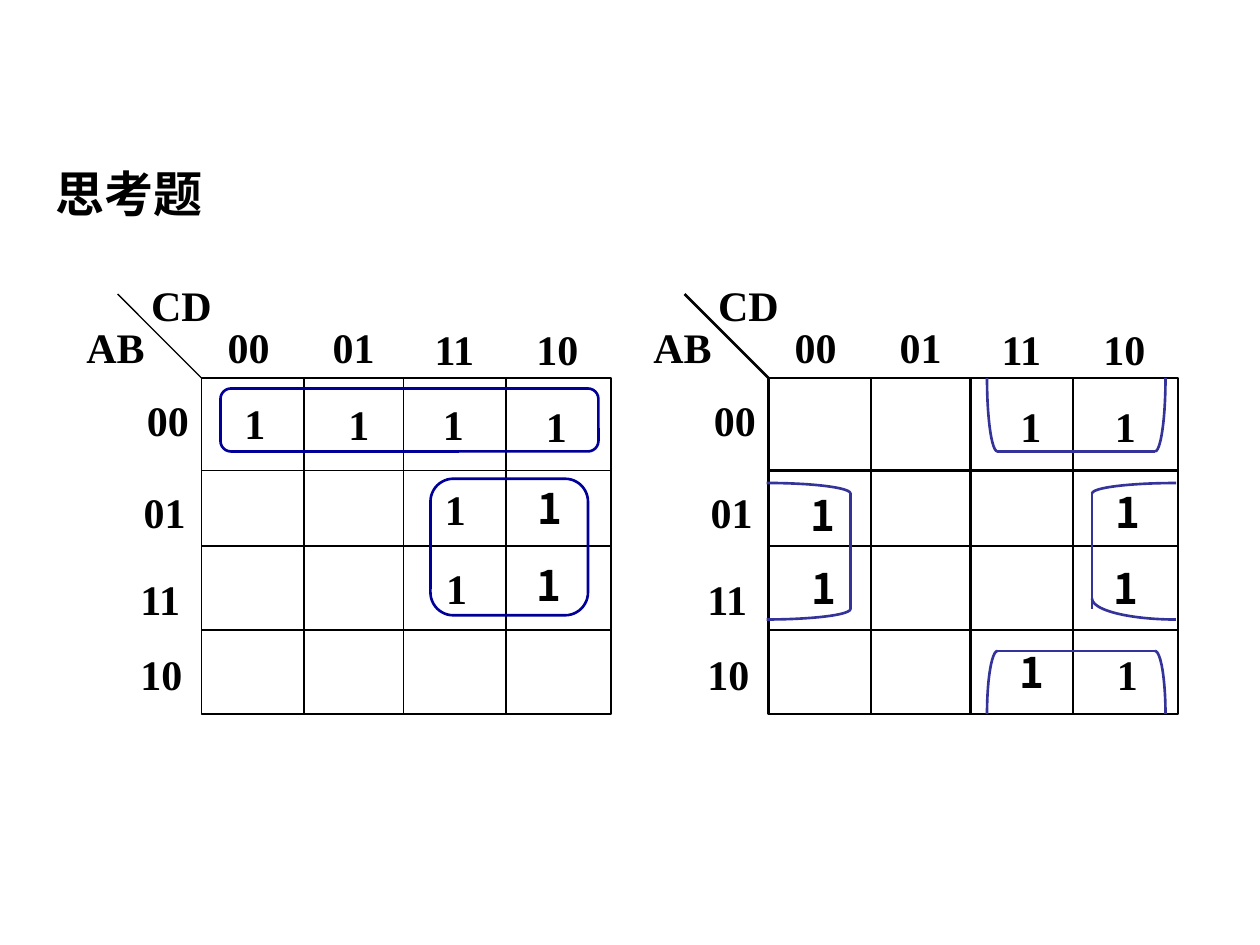
from lxml import etree
from pptx import Presentation
from pptx import util as u
from pptx.dml.color import RGBColor
from pptx.enum import shapes, text
from pptx.oxml.ns import qn

INK = {"text": "000000", "grid": "000000", "loop": "000099", "arc": "333399"}
SERIF, SANS = "Times New Roman", "Noto Sans CJK SC"
COLS, ROWS = (0, 9.75, 19.2, 29, 39), (0, 8.8, 16, 24, 32)
KINDS = shapes.MSO_SHAPE
TURN = {"br": 0, "bl": 90, "tl": 180, "tr": 270}
HEADS = [
    ("AB", -12.15, -6, 8.2), ("CD", -6, -10, 8.3),
    ("00", -6.4, 1, 6.4), ("01", -6.7, 9.7, 6.4),
    ("11", -7, 18, 6.4), ("10", -7, 25.2, 6.4),
    ("00", 1.3, -6, 6.4), ("01", 11.3, -6, 6.4),
    ("11", 21, -5.8, 6.4), ("10", 30.7, -5.8, 6.4),
]


def unit(n):
    """Return n grid units, with 120 columns and 90 rows on the slide."""
    return u.Inches(n / 12)


def hue(name):
    """Return a named colour."""
    return RGBColor.from_string(INK[name])


def style(frame, words, size, font):
    """Fill a text frame with one bold unwrapped line."""
    frame.text = words
    frame.word_wrap = False
    frame.auto_size = text.MSO_AUTO_SIZE.SHAPE_TO_FIT_TEXT
    run = frame.paragraphs[0].runs[0]
    run.font.size, run.font.bold, run.font.name = u.Pt(size), True, font
    run.font.color.rgb = hue("text")
    east = etree.SubElement(run.font._element, qn("a:ea"))
    east.set("typeface", font)


def label(slide, box, words, x, y, wide, font=SERIF):
    """Write a label at an offset from the map's corner."""
    item = slide.shapes.add_textbox(
        unit(box[0] + x), unit(box[1] + y), unit(wide), unit(6))
    style(item.text_frame, words, 24, font)
    if font == SANS:
        item.text_frame.paragraphs[0].alignment = text.PP_ALIGN.CENTER


def line(slide, box, x1, y1, x2, y2, ink, wide):
    """Draw a straight line inside the map's box."""
    item = slide.shapes.add_connector(
        shapes.MSO_CONNECTOR.STRAIGHT, unit(box[0] + x1), unit(box[1] + y1),
        unit(box[0] + x2), unit(box[1] + y2))
    item.line.color.rgb, item.line.width = hue(ink), u.Pt(wide)
    etree.SubElement(item._element.spPr, qn("a:effectLst"))


def shape(slide, box, kind, x, y, w, h, ink, wide=1.5, adjust=()):
    """Draw an unfilled preset outline inside the map's box."""
    item = slide.shapes.add_shape(
        kind, unit(box[0] + x), unit(box[1] + y), unit(w), unit(h))
    item.shadow.inherit = False
    item.fill.background()
    item.line.color.rgb, item.line.width = hue(ink), u.Pt(wide)
    for spot, value in enumerate(adjust):
        item.adjustments[spot] = value


def arc(slide, box, side, x, y, w, h):
    """Draw the named quarter of an ellipse."""
    start = TURN[side]
    ends = [angle % 360 * 0.6 for angle in (start, start + 90)]
    shape(slide, box, KINDS.ARC, x, y, w, h, "arc", 1.5, ends)


def grid(slide, box, wide):
    """Draw a four by four map with its row and column heads."""
    right, low = COLS[-1], ROWS[-1]
    shape(slide, box, KINDS.RECTANGLE, 0, 0, right, low, "grid", wide)
    for x in COLS[1:-1]:
        line(slide, box, x, 0, x, low, "grid", wide)
    for y in ROWS[1:-1]:
        line(slide, box, 0, y, right, y, "grid", wide)
    line(slide, box, 0, 0, -8, -8, "grid", wide)
    for head in HEADS:
        label(slide, box, *head)


def ones(slide, box, serif, sans):
    """Mark the cells of a map that hold a one."""
    for font, wide, spots in ((SERIF, 4.3, serif), (SANS, 4.7, sans)):
        for x, y in spots:
            label(slide, box, "1", x, y, wide, font)


def left(slide, box):
    """Build the map with closed loops."""
    grid(slide, box, 0.75)
    ones(slide, box,
         [(2.9, 1.3), (12.8, 1.4), (21.8, 1.4), (31.6, 1.6), (22, 9.5), (22.1, 17)],
         [(30.8, 9.4), (30.7, 16.7)])
    for spot in ((21.8, 9.6, 15, 13), (1.8, 1, 36, 6)):
        shape(slide, box, KINDS.ROUNDED_RECTANGLE, *spot, "loop", 1.5, [0.167])


def right(slide, box):
    """Build the map with loops that wrap round its edges."""
    grid(slide, box, 1.5)
    ones(slide, box,
         [(22.8, 1.6), (31.8, 1.6), (32, 25.2)],
         [(2.8, 10), (2.9, 17), (31.9, 9.7), (31.7, 17), (22.7, 25)])
    for y, top, high, edge in ((7, -7, 14, "b"), (26, 26, 12, "t")):
        line(slide, box, 21.8, y, 36.8, y, "arc", 1.5)
        arc(slide, box, edge + "l", 20.8, top, 2, high)
        arc(slide, box, edge + "r", 35.8, top, 2, high)
    line(slide, box, 30.8, 11, 30.8, 22, "arc", 1.5)
    arc(slide, box, "tl", 30.8, 10, 16, 2)
    arc(slide, box, "bl", 30.8, 19, 16, 4)
    shape(slide, box, KINDS.RIGHT_BRACKET, -0.2, 10, 8, 13, "arc", 1.5, [0.125])


def title(slide, x, y, w, h):
    """Place and format the title."""
    item = slide.shapes.title
    item.left, item.top, item.width, item.height = map(unit, (x, y, w, h))
    style(item.text_frame, "思考题", 28, SANS)
    item.text_frame.vertical_anchor = text.MSO_ANCHOR.TOP
    item.text_frame.paragraphs[0].alignment = text.PP_ALIGN.CENTER


def main():
    """Build and save the slide."""
    deck = Presentation()
    deck.slide_width, deck.slide_height = unit(120), unit(90)
    slide = deck.slides.add_slide(deck.slide_layouts[5])
    title(slide, 3.8, 15, 17, 6.8)
    left(slide, (19.2, 36))
    right(slide, (73.2, 36))
    deck.save("out.pptx")


if __name__ == "__main__":
    main()
